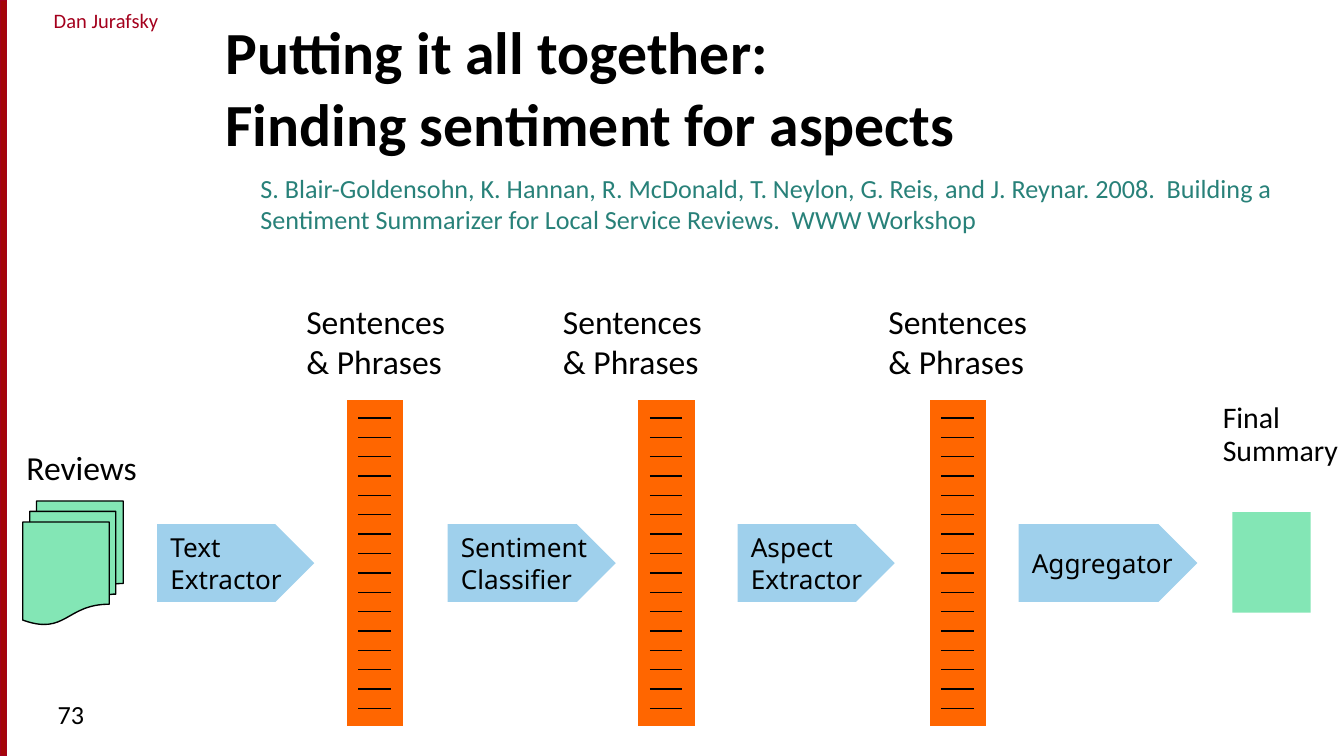
from dataclasses import dataclass

from lxml.etree import SubElement
from pptx import Presentation
from pptx.dml.color import RGBColor
from pptx.enum.shapes import MSO_CONNECTOR, MSO_SHAPE
from pptx.enum.text import MSO_ANCHOR, MSO_AUTO_SIZE, PP_ALIGN
from pptx.oxml.ns import qn
from pptx.util import Cm, Pt


@dataclass(frozen=True)
class Theme:
    ink: RGBColor = RGBColor.from_string("000000")
    author: RGBColor = RGBColor.from_string("A4001D")
    edge: RGBColor = RGBColor.from_string("A40508")
    citation: RGBColor = RGBColor.from_string("288179")
    document: RGBColor = RGBColor.from_string("83E6B5")
    bar: RGBColor = RGBColor.from_string("FF6600")
    step: RGBColor = RGBColor.from_string("9FD0EC")
    body_font: str = "Calibri"
    step_font: str = "Noto Sans"
    title_size: int = 32
    label_size: int = 18
    summary_size: int = 16
    small_size: int = 14
    author_size: int = 11
    line_width: float = 0.75


theme = Theme()
presentation = Presentation()
presentation.slide_width, presentation.slide_height = Cm(25.4), Cm(14.29)
slide = presentation.slides.add_slide(presentation.slide_layouts[5])
shapes = slide.shapes


def write_text(shape, lines, size=theme.small_size, font=theme.body_font,
               color=theme.ink, bold=False, align=PP_ALIGN.LEFT,
               anchor=MSO_ANCHOR.TOP, wrap=True, spacing=None, side_inset=0.25):
    frame = shape.text_frame
    frame.auto_size = MSO_AUTO_SIZE.NONE
    frame.word_wrap = wrap
    frame.vertical_anchor = anchor
    frame.margin_left = frame.margin_right = Cm(side_inset)
    frame.margin_top = frame.margin_bottom = Cm(0.13)
    for index, line in enumerate(lines):
        paragraph = frame.add_paragraph() if index else frame.paragraphs[0]
        paragraph.text = line
        paragraph.alignment = align
        paragraph.line_spacing = spacing
        for run in paragraph.runs:
            run.font.size = Pt(size)
            run.font.name = font
            run.font.bold = bold
            run.font.color.rgb = color


def add_block(kind, left, top, width, height, fill, line=None):
    shape = shapes.add_shape(kind, Cm(left), Cm(top), Cm(width), Cm(height))
    shape.shadow.inherit = False
    shape.fill.solid()
    shape.fill.fore_color.rgb = fill
    if line is None:
        shape.line.fill.background()
    else:
        shape.line.color.rgb = line
        shape.line.width = Pt(theme.line_width)
    return shape


# Title
title = shapes.title
title.left, title.top, title.width, title.height = Cm(4.01), Cm(0.38), Cm(20.75), Cm(2.74)
write_text(title, ["Putting it all together:\vFinding sentiment for aspects"],
           size=theme.title_size, bold=True, anchor=MSO_ANCHOR.BOTTOM)

# Red edge on the left
add_block(MSO_SHAPE.RECTANGLE, 0, 0, 0.12, 14.29, theme.edge, theme.author)

# Reviews at the start, summary at the end
add_block(MSO_SHAPE.FLOWCHART_MULTIDOCUMENT, 0.43, 9.47, 1.9, 2.34, theme.document, theme.ink)
add_block(MSO_SHAPE.RECTANGLE, 23.29, 9.68, 1.48, 1.9, theme.document)

# Bars of sentences, each with evenly spaced rules
rule_count, first_rule, last_rule = 16, 7.9, 13.39
rule_gap = (last_rule - first_rule) / (rule_count - 1)
for column in range(3):
    left = 6.55 + column * 5.51
    add_block(MSO_SHAPE.FLOWCHART_PROCESS, left, 7.57, 1.07, 6.15, theme.bar)
    for row in range(rule_count):
        y = Cm(first_rule + row * rule_gap)
        rule = shapes.add_connector(MSO_CONNECTOR.STRAIGHT, Cm(left + 0.22), y, Cm(left + 0.83), y)
        rule.line.color.rgb = theme.ink
        rule.line.width = Pt(theme.line_width)
        SubElement(rule.element.spPr, qn("a:effectLst"))

# Processing steps
for left, width, lines in [
    (2.97, 2.97, ["Text", "Extractor"]),
    (8.46, 3.18, ["Sentiment", "Classifier"]),
    (13.94, 2.97, ["Aspect", "Extractor"]),
    (19.25, 3.38, ["Aggregator"]),
]:
    step = add_block(MSO_SHAPE.PENTAGON, left, 9.91, width, 1.47, theme.step)
    write_text(step, lines, font=theme.step_font, anchor=MSO_ANCHOR.MIDDLE, wrap=False)

# Labels, citation, author and page number
label = {"size": theme.label_size, "wrap": False}
sentences = ["Sentences", "& Phrases"]
citation = ("S. Blair-Goldensohn, K. Hannan, R. McDonald, T. Neylon, G. Reis, and J. Reynar. 2008.  "
            "Building a Sentiment Summarizer for Local Service Reviews.  WWW Workshop")
for left, top, width, height, lines, text_format in [
    (0.2, 0.03, 3.61, 0.71, ["Dan Jurafsky"],
     {"size": theme.author_size, "color": theme.author, "align": PP_ALIGN.CENTER, "side_inset": 0}),
    (4.67, 3.12, 20.73, 1.42, [citation], {"color": theme.citation}),
    (5.54, 5.56, 3.12, 1.78, sentences, label),
    (10.39, 5.56, 3.12, 1.78, sentences, label),
    (16.54, 5.56, 3.12, 1.78, sentences, label),
    (0.25, 8.31, 2.59, 1.02, ["Reviews"], label),
    (22.86, 7.49, 2.67, 1.52, ["Final", "Summary"],
     {"size": theme.summary_size, "wrap": False, "spacing": 0.9}),
    (0.84, 13.08, 5.51, 0.94, ["73"], {}),
]:
    box = shapes.add_textbox(Cm(left), Cm(top), Cm(width), Cm(height))
    write_text(box, lines, **text_format)

presentation.save("out.pptx")
